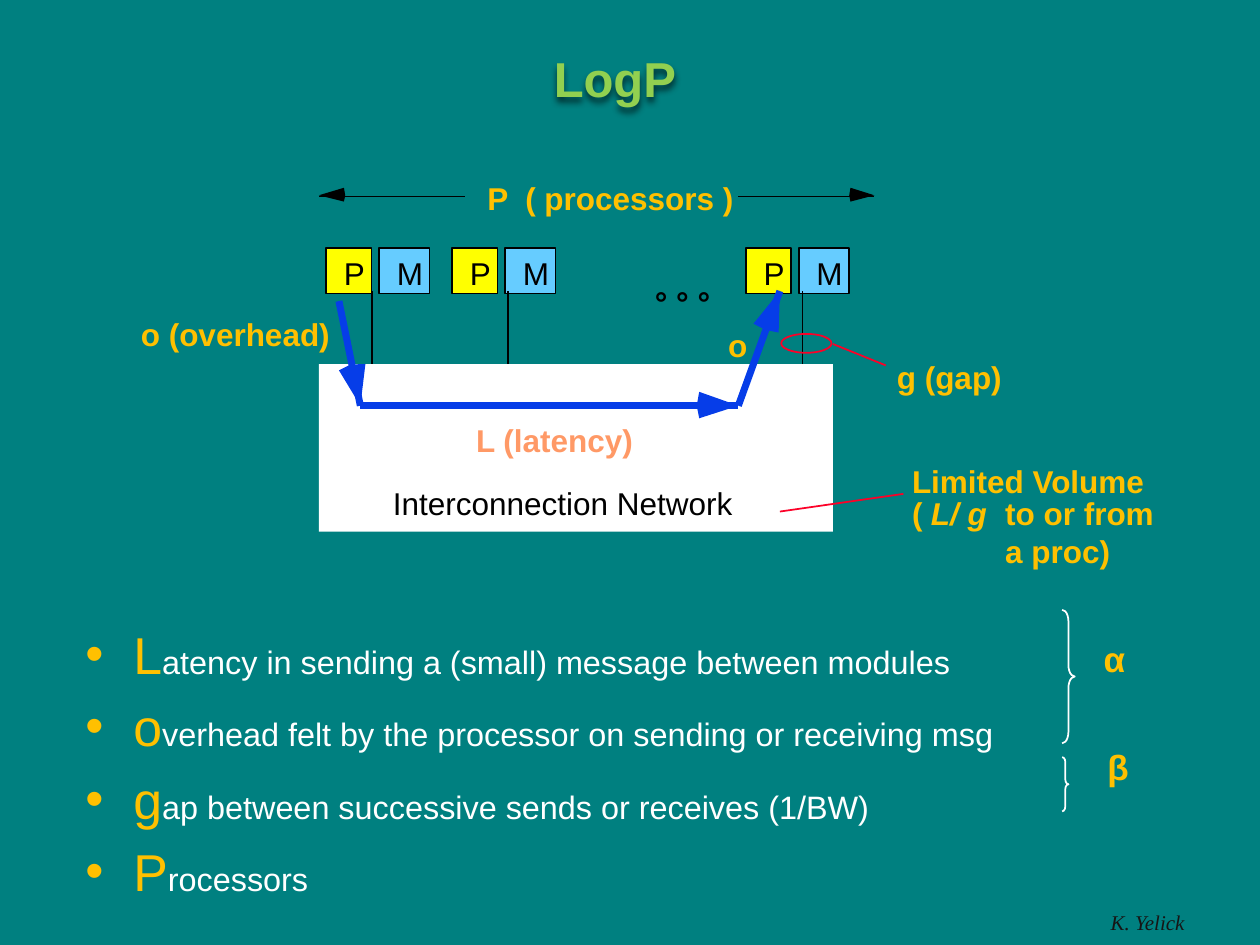
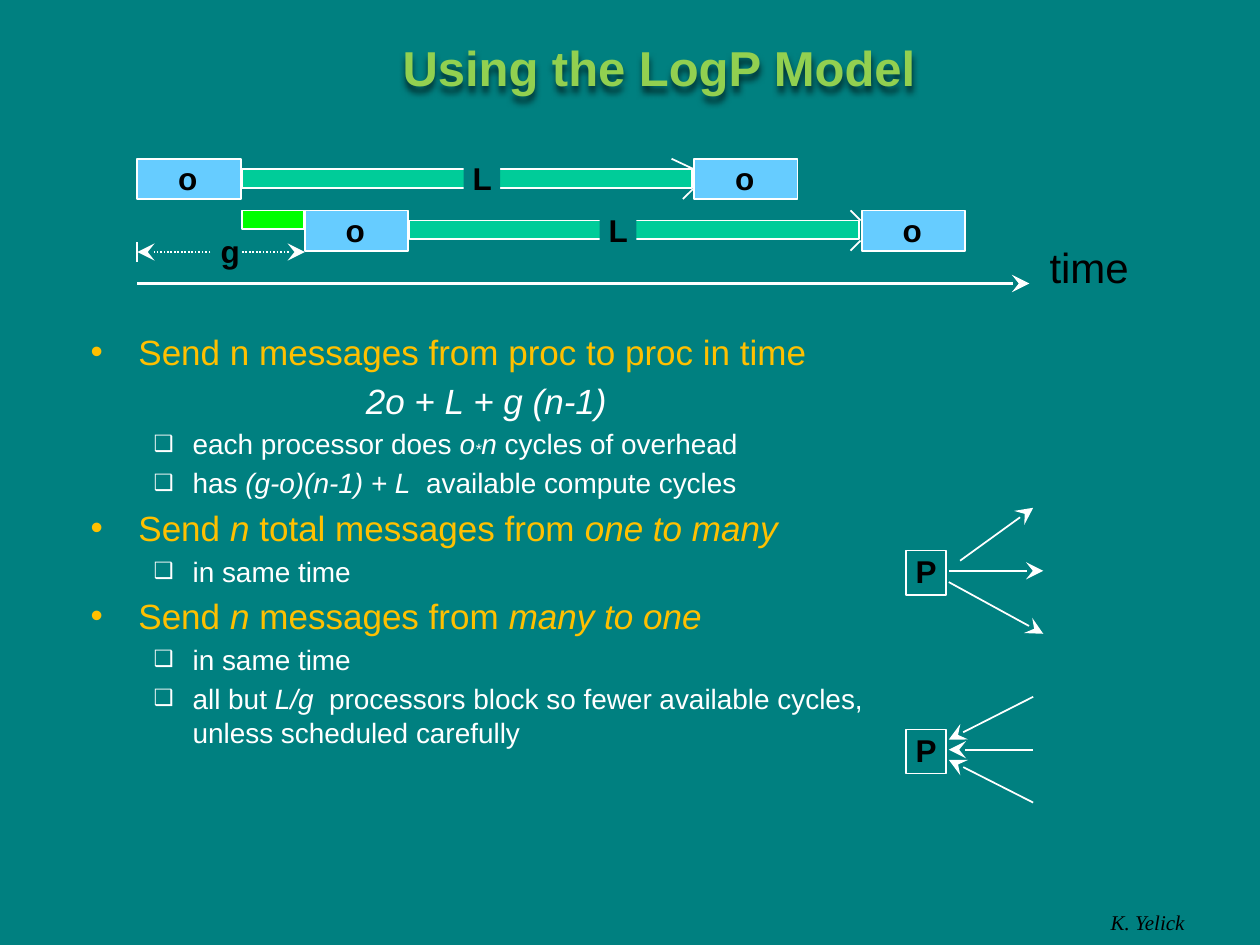
import pptx
import pptx.dml.color
import pptx.enum.dml
import pptx.enum.shapes
import pptx.enum.text
import pptx.oxml
import pptx.oxml.ns
import pptx.util

Inches, Pt = pptx.util.Inches, pptx.util.Pt
SHAPE = pptx.enum.shapes.MSO_SHAPE
ALIGN = pptx.enum.text.PP_ALIGN
ANCHOR = pptx.enum.text.MSO_ANCHOR
AUTO_SIZE = pptx.enum.text.MSO_AUTO_SIZE

TEAL, WHITE, BLACK = "008080", "FFFFFF", "000000"
GOLD, LIME, SALMON = "FFC000", "92D050", "FF9966"
YELLOW, SKY, MINT, GREEN = "FFFF00", "66CCFF", "00CC99", "00FF00"
BLUE, RED = "063DE8", "FC0128"

PLAIN = {"size": 18, "color": BLACK}
BOLD = {**PLAIN, "bold": True}
LABEL = {**BOLD, "color": GOLD}
GREEK = {**LABEL, "size": 20}
HEADING = {"size": 28, "color": LIME, "bold": True}
TIGHT = (0.07, 0.03, 0.07, 0.03)
NORMAL = (0.1, 0.05, 0.1, 0.05)


def rgb(value):
    return pptx.dml.color.RGBColor.from_string(value)


def add_xml(parent, tag, content="", **attributes):
    """Append one DrawingML element to parent."""
    values = " ".join(f'{name}="{value}"' for name, value in attributes.items())
    namespace = pptx.oxml.ns.nsdecls("a")
    parent.append(pptx.oxml.parse_xml(f"<a:{tag} {namespace} {values}>{content}</a:{tag}>"))


def add_run(paragraph, text, formats):
    run = paragraph.add_run()
    run.text = text
    for name, value in {"name": "Arial", **formats}.items():
        if name == "color":
            run.font.color.rgb = rgb(value)
        else:
            setattr(run.font, name, Pt(value) if name == "size" else value)
    return run


def set_frame(frame, insets, **settings):
    sides = ("left", "top", "right", "bottom")
    margins = {f"margin_{side}": Inches(inset) for side, inset in zip(sides, insets)}
    for name, value in {**margins, **settings}.items():
        setattr(frame, name, value)


def add_text(slide, box, text, formats, insets=NORMAL, spacing=None, align=ALIGN.LEFT, wrap=False):
    label = slide.shapes.add_textbox(*map(Inches, box))
    frame = label.text_frame
    set_frame(frame, insets, word_wrap=wrap, auto_size=AUTO_SIZE.SHAPE_TO_FIT_TEXT)
    for index, line in enumerate(text.split("\n")):
        paragraph = frame.paragraphs[0] if index == 0 else frame.add_paragraph()
        paragraph.alignment = align
        if spacing:
            paragraph.line_spacing = spacing
        add_run(paragraph, line, formats)
    return label


def paint(shape, fill=None, line=None):
    shape.shadow.inherit = False
    if fill:
        shape.fill.solid()
        shape.fill.fore_color.rgb = rgb(fill)
    else:
        shape.fill.background()
    if line:
        shape.line.color.rgb = rgb(line)
        shape.line.width = Pt(1)
    else:
        shape.line.fill.background()
    return shape


def add_block(slide, box, fill=None, line=None, kind=SHAPE.RECTANGLE):
    return paint(slide.shapes.add_shape(kind, *map(Inches, box)), fill, line)


def caption(block, text, formats=BOLD, insets=TIGHT, spacing=0.85, align=ALIGN.CENTER,
            anchor=ANCHOR.MIDDLE):
    set_frame(block.text_frame, insets, word_wrap=True, vertical_anchor=anchor)
    paragraph = block.text_frame.paragraphs[0]
    paragraph.alignment, paragraph.line_spacing = align, spacing
    add_run(paragraph, text, formats)


def add_line(slide, start, end, color=WHITE, width=1, arrow=False, dotted=False):
    line = slide.shapes.add_connector(
        pptx.enum.shapes.MSO_CONNECTOR.STRAIGHT, *map(Inches, (*start, *end)))
    line.line.color.rgb = rgb(color)
    line.line.width = Pt(width)
    if dotted:
        line.line.dash_style = pptx.enum.dml.MSO_LINE.ROUND_DOT
    if arrow:
        add_xml(line.line._get_or_add_ln(), "tailEnd", type="stealth", w="lg", len="lg")
    add_xml(line._element.spPr, "effectLst")


def add_arrowhead(slide, color, *points):
    """Draw a solid head: the tip, then the points of its rounded back."""
    tip, *back = [(Inches(x), Inches(y)) for x, y in points]
    builder = slide.shapes.build_freeform(*tip)
    builder.add_line_segments(back, close=True)
    paint(builder.convert_to_shape(), color)


def add_bullets(slide, box, paragraphs):
    """Each paragraph is (bullet, level, alignment, runs)."""
    frame = slide.shapes.add_textbox(*map(Inches, box)).text_frame
    set_frame(frame, NORMAL, word_wrap=True)
    for index, (bullet, level, align, runs) in enumerate(paragraphs):
        paragraph = frame.paragraphs[0] if index == 0 else frame.add_paragraph()
        paragraph.level, paragraph.alignment = level, align
        properties = paragraph._p.get_or_add_pPr()
        margin, indent = ((0.38, -0.38), (0.81, -0.31))[level]
        properties.set("marL", str(Inches(margin)))
        properties.set("indent", str(Inches(indent)))
        add_xml(properties, "spcBef", '<a:spcPct val="20000"/>')
        if bullet:
            add_xml(properties, "buSzPct", val=80000 if level else 100000)
            add_xml(properties, "buFont", typeface="Arial")
            add_xml(properties, "buChar", char=bullet)
        else:
            add_xml(properties, "buNone")
        for text, formats in runs:
            run = add_run(paragraph, text, formats)
            if text == "*":
                run._r.get_or_add_rPr().set("baseline", "-4000")


def start_slide(deck, title, title_box, credit_color):
    slide = deck.slides.add_slide(deck.slide_layouts[6])
    slide.background.fill.solid()
    slide.background.fill.fore_color.rgb = rgb(TEAL)
    heading = add_text(slide, title_box, title, HEADING, align=ALIGN.CENTER)
    heading.text_frame.vertical_anchor = ANCHOR.MIDDLE
    shadow = ('<a:outerShdw blurRad="50800" dist="38100" dir="5400000">'
              '<a:srgbClr val="000000"><a:alpha val="60000"/></a:srgbClr></a:outerShdw>')
    add_xml(heading._element.spPr, "effectLst", shadow)
    credit = {"name": "Times New Roman", "size": 12, "color": credit_color, "italic": True}
    add_text(slide, (7.58, 7.17, 1.92, 0.3), "K. Yelick", credit, align=ALIGN.RIGHT, wrap=True)
    return slide


def draw_node(slide, left, top):
    """Draw a processor and its memory side by side."""
    for name, offset, width, fill in (("P", 0, 0.36, YELLOW), ("M", 0.42, 0.4, SKY)):
        block = add_block(slide, (left + offset, top, width, 0.36), fill, BLACK)
        caption(block, name, PLAIN, (0.14, 0.05, 0, 0), 1, ALIGN.LEFT, ANCHOR.TOP)


def draw_machine(slide, left, top):
    def at(x, y):
        return left + x, top + y

    add_block(slide, (*at(0, 1.4), 4.08, 1.33), WHITE)
    for node_x, wire_x in ((0.06, 0.42), (1.06, 1.5), (3.39, 3.84)):
        draw_node(slide, *at(node_x, 0.48))
        add_line(slide, at(wire_x, 0.82), at(wire_x, 1.4), BLACK)

    for inner, tip, back in ((1.16, 0, 0.2), (3.33, 4.41, 4.22)):
        add_line(slide, at(inner, 0.07), at(tip, 0.07), BLACK)
        curve = 0.01 if back < inner else -0.01
        add_arrowhead(slide, BLACK, at(tip, 0.06), at(back, 0),
                      at(back + curve, 0.06), at(back, 0.11))

    send, enter, leave, receive = at(0.16, 0.9), at(0.33, 1.73), at(3.33, 1.73), at(3.66, 0.82)
    for start, end in ((send, enter), (enter, leave), (leave, receive)):
        add_line(slide, start, end, BLUE, 4)
    add_arrowhead(slide, BLUE, enter, at(0.16, 1.45), at(0.24, 1.41), at(0.32, 1.4), at(0.37, 1.4))
    add_arrowhead(slide, BLUE, leave, at(3.02, 1.83), at(3, 1.73), at(3.02, 1.62))
    add_arrowhead(slide, BLUE, receive, at(3.65, 1.15), at(3.55, 1.13), at(3.45, 1.08))

    add_block(slide, (*at(3.67, 1.16), 0.4, 0.15), line=RED, kind=SHAPE.OVAL)
    add_line(slide, at(4.08, 1.24), at(4.5, 1.41), RED)
    add_line(slide, at(3.66, 2.57), at(4.64, 2.43), RED)

    for text, x, y, width, formats in (
        ("P  ( processors )", 1.24, -0.12, 2.16, LABEL),
        ("° ° °", 2.57, 0.71, 0.64, BOLD),
        ("o (overhead)", -1.51, 0.96, 1.7, LABEL),
        ("o", 3.15, 1.05, 0.35, LABEL),
        ("g (gap)", 4.49, 1.3, 1.03, LABEL),
        ("L (latency)", 1.15, 1.8, 1.45, {**LABEL, "color": SALMON}),
        ("Interconnection Network", 0.49, 2.3, 2.9, PLAIN),
        ("(", 4.61, 2.38, 0.35, LABEL),
        ("L/ g", 4.76, 2.38, 0.72, {**LABEL, "italic": True}),
    ):
        add_text(slide, (*at(x, y), width, 0.4), text, formats)
    add_text(slide, (*at(4.61, 2.13), 2.06, 0.4), "Limited Volume", LABEL, wrap=True)
    add_text(slide, (*at(5.28, 2.38), 1.69, 0.7), " to or from\n a proc)", LABEL, wrap=True)


def draw_cost_braces(slide, left, top):
    for y, width, height, curve, letter, letter_x, letter_y in (
        (0, 0.1, 1.06, 0.91, "α", 0.23, 0.17),
        (1.17, 0.05, 0.43, 0.76, "β", 0.26, 1.03),
    ):
        brace = add_block(slide, (left, top + y, width, height), line=WHITE, kind=SHAPE.RIGHT_BRACE)
        brace.adjustments[0] = curve
        add_text(slide, (left + letter_x, top + letter_y, 0.38, 0.43), letter, GREEK)


def draw_message(slide, left, top, latency_x, barb):
    """Draw send overhead, latency bar and receive overhead in a row."""
    end = left + 4.41
    add_block(slide, (left + 0.83, top + 0.08, 3.57, 0.15), MINT, WHITE)
    label = add_block(slide, (left + latency_x, top + 0.02, 0.29, 0.31), TEAL)
    caption(label, "L")
    add_line(slide, (end, top + 0.08), (end - barb, top), WHITE)
    add_line(slide, (end, top + 0.24), (end - 0.08, top + 0.32), WHITE)
    for x in (left, left + 4.42):
        overhead = add_block(slide, (x, top, 0.82, 0.32), SKY, WHITE)
        caption(overhead, "o", insets=(0.06, 0.06, 0.08, 0.03))


def draw_timeline(slide, left, top):
    draw_message(slide, left, top, 2.59, 0.17)
    draw_message(slide, left + 1.33, top + 0.41, 2.34, 0.08)
    add_block(slide, (left + 0.83, top + 0.41, 0.49, 0.15), GREEN, WHITE)
    gap_y = top + 0.74
    add_line(slide, (left, gap_y + 0.08), (left, gap_y - 0.08))
    for start, end in ((0.83, 1.33), (0.58, 0)):
        add_line(slide, (left + start, gap_y), (left + end, gap_y), arrow=True, dotted=True)
    add_text(slide, (left + 0.59, top + 0.6, 0.29, 0.31), "g", BOLD, TIGHT, 0.85)
    add_line(slide, (left, top + 0.99), (left + 7.08, top + 0.99), width=2, arrow=True)
    add_text(slide, (left + 7.17, top + 0.68, 0.77, 0.4), "time", {**PLAIN, "size": 24}, TIGHT, 0.87)


def draw_fan(slide, left, top, arrows):
    caption(add_block(slide, (left, top, 0.32, 0.35), line=WHITE), "P", spacing=0.92)
    for start, end in arrows:
        add_line(slide, (left + start[0], top + start[1]), (left + end[0], top + end[1]), arrow=True)


def build_logp(deck):
    slide = start_slide(deck, "LogP", (4.29, 0.33, 1.18, 0.57), "161616")
    initial, rest = {"size": 29.6, "color": GOLD}, {"size": 18.5, "color": WHITE}
    terms = (
        "Latency in sending a (small) message between modules",
        "overhead felt by the processor on sending or receiving msg",
        "gap between successive sends or receives (1/BW)",
        "Processors",
    )
    add_bullets(slide, (0.58, 4.89, 8.75, 2.03), [
        ("•", 0, ALIGN.LEFT, ((term[0], initial), (term[1:], rest))) for term in terms])
    draw_machine(slide, 2.53, 1.49)
    draw_cost_braces(slide, 8.43, 4.84)


def build_usage(deck):
    slide = start_slide(deck, "Using the LogP Model", (3.07, 0.25, 4.32, 0.57), BLACK)
    main, detail = {"size": 20, "color": GOLD}, {"size": 16, "color": WHITE}
    main_italic, detail_italic = ({**style, "italic": True} for style in (main, detail))

    def point(*texts):
        """Make a main bullet whose every second run is italic."""
        return "•", 0, ALIGN.LEFT, tuple(zip(texts, (main, main_italic) * 2))

    def note(*runs):
        return "❑", 1, ALIGN.LEFT, runs

    add_bullets(slide, (0.62, 2.57, 6.48, 4.51), [
        point("Send n messages from proc to proc in time"),
        (None, 0, ALIGN.CENTER, (("2o + L + g (n-1)", {**main_italic, "color": WHITE}),)),
        note(("each processor does ", detail), ("o", detail_italic), ("*", detail_italic),
             ("n ", detail_italic), ("cycles of overhead", detail)),
        note(("has ", detail), ("(g-o)(n-1) + L", detail_italic),
             ("  available compute cycles", detail)),
        point("Send ", "n ", "total messages from ", "one to many"),
        note(("in same time", detail)),
        point("Send ", "n ", "messages from ", "many to one"),
        note(("in same time", detail)),
        note(("all but", detail), (" L/g", detail_italic),
             ("  processors block so fewer available cycles, unless scheduled carefully", detail)),
    ])
    draw_timeline(slide, 1.09, 1.26)
    draw_fan(slide, 7.19, 4.37, (
        ((0.43, 0.08), (1.01, -0.34)),
        ((0.34, 0.16), (1.09, 0.16)),
        ((0.34, 0.25), (1.09, 0.66)),
    ))
    draw_fan(slide, 7.19, 5.79, [
        ((1.01, 0.16 + 0.42 * side), (0.34, 0.16 + 0.08 * side)) for side in (-1, 0, 1)])


def main():
    deck = pptx.Presentation()
    deck.slide_width, deck.slide_height = Inches(10), Inches(7.5)
    build_logp(deck)
    build_usage(deck)
    deck.save("out.pptx")


if __name__ == "__main__":
    main()
